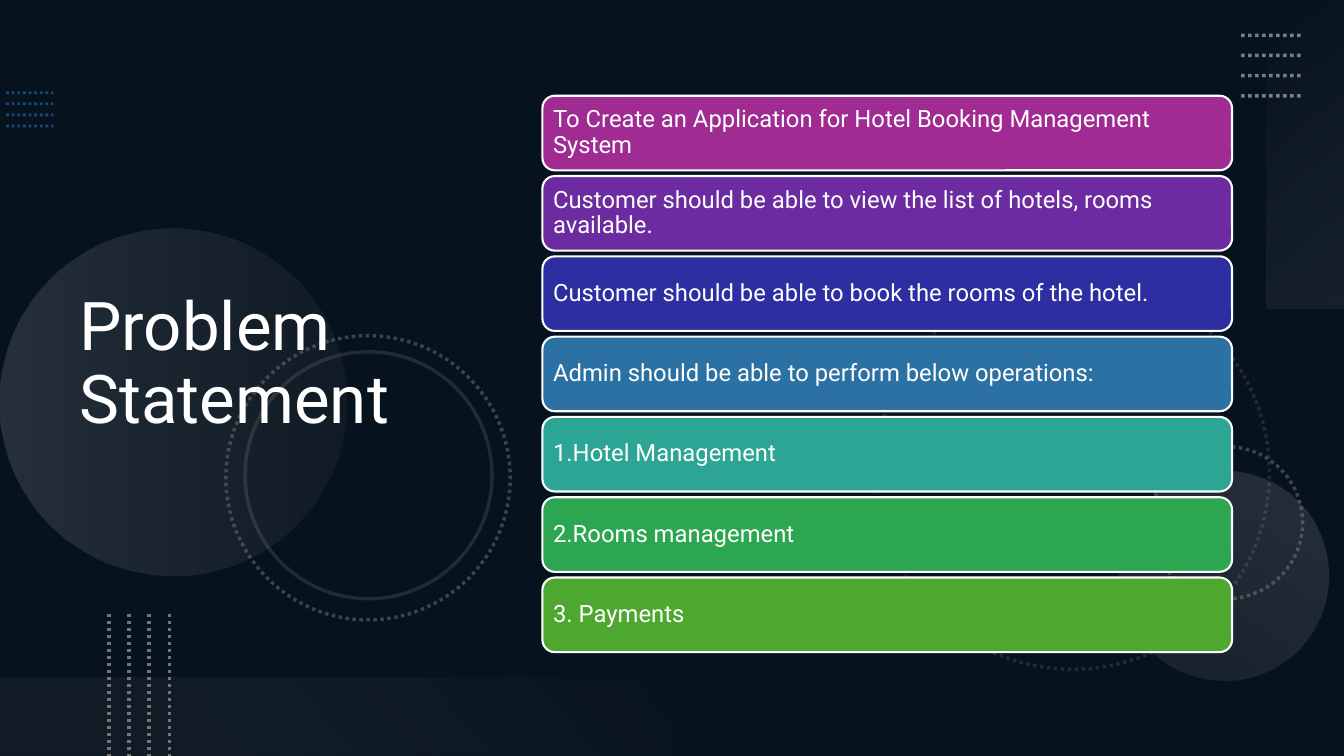
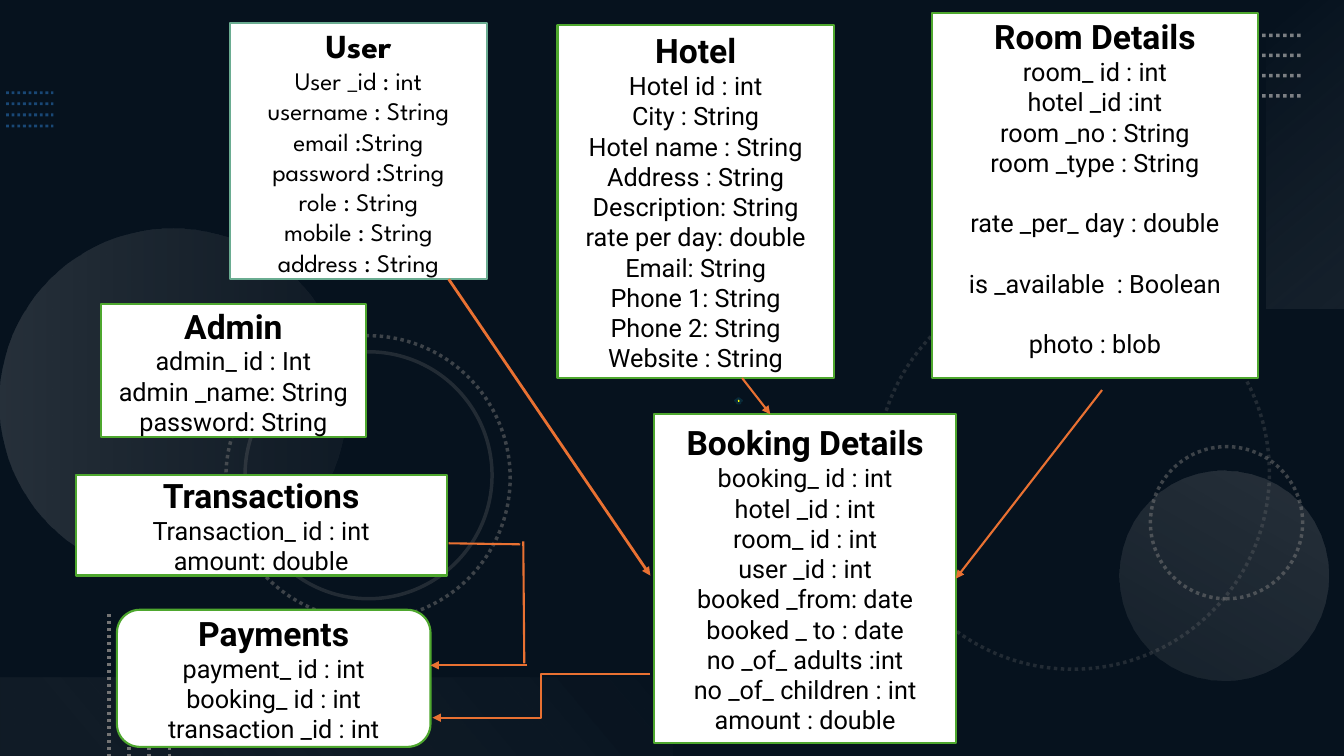
from dataclasses import dataclass

from lxml import etree
from pptx import Presentation
from pptx.dml.color import RGBColor
from pptx.enum.dml import MSO_LINE
from pptx.enum.shapes import MSO_CONNECTOR, MSO_SHAPE
from pptx.enum.text import MSO_ANCHOR, PP_ALIGN
from pptx.oxml.ns import qn
from pptx.util import Inches, Pt

RECTANGLE = MSO_SHAPE.RECTANGLE
ROUNDED = MSO_SHAPE.ROUNDED_RECTANGLE
OVAL = MSO_SHAPE.OVAL
DOWN_ARROW = MSO_SHAPE.DOWN_ARROW
STRAIGHT = MSO_CONNECTOR.STRAIGHT
ELBOW = MSO_CONNECTOR.ELBOW
DOTTED = MSO_LINE.ROUND_DOT
MIDDLE = MSO_ANCHOR.MIDDLE
TOP = MSO_ANCHOR.TOP
CENTER = PP_ALIGN.CENTER
LEFT = PP_ALIGN.LEFT


@dataclass(frozen=True)
class Theme:
    background: str = "0E2841"
    black: str = "000000"
    white: str = "FFFFFF"
    grey: str = "747474"
    silver: str = "AEAEAE"
    blue: str = "2D7FCF"
    green: str = "4EA72E"
    sage: str = "6AAC91"
    orange: str = "E97132"
    yellow: str = "FFFF00"
    navy: str = "092A39"
    bars: tuple = ("A02B93", "6C2BA1", "2C2EA2", "2C71A4", "2DA594", "2DA651", "4EA72E")
    font: str = "Roboto"
    user_font: str = "League Spartan"
    title_size: int = 48
    bar_size: float = 17
    heading_size: int = 24
    field_size: int = 18
    field_gap: float = 21.6


THEME = Theme()
WIDTH, HEIGHT = 13.33, 7.5

STATEMENTS = [
    "To Create an Application for Hotel Booking Management System",
    "Customer should be able to view the list of hotels, rooms available.",
    "Customer should be able to book the rooms of the hotel.",
    "Admin should be able to perform below operations:",
    "1.Hotel Management",
    "2.Rooms management",
    "3. Payments",
]

# Heading, box, fields, and any options that differ from a plain entity box
ENTITIES = [
    ("User", (2.28, 0.23, 2.55, 2.54),
     ["User _id : int", "username : String", "email :String", "password :String",
      "role : String", "mobile : String", "address : String"],
     {"font": THEME.user_font, "border": THEME.sage, "border_width": 1.25}),
    ("Hotel", (5.53, 0.25, 2.74, 3.5),
     ["Hotel id : int", "City : String", "Hotel name : String", "Address : String",
      "Description: String", "rate per day: double", "Email: String",
      "Phone 1: String", "Phone 2: String", "Website : String"], {}),
    ("Room Details", (9.24, 0.13, 3.24, 3.62),
     ["room_ id : int", "hotel _id :int", "room _no : String", "room _type : String",
      "rate _per_ day : double", "is _available  : Boolean", "photo : blob"],
     {"anchor": TOP, "spaced_from": 4}),
    ("Admin", (1, 3.02, 2.63, 1.32),
     ["admin_ id : Int", "admin _name: String", "password: String"], {}),
    ("Transactions", (0.75, 4.71, 3.68, 1),
     ["Transaction_ id : int", "amount: double"], {}),
    ("Payments", (1.16, 6.05, 3.11, 1.36),
     ["payment_ id : int", "booking_ id : int", "transaction _id : int"],
     {"kind": ROUNDED}),
    ("Booking Details", (6.49, 4.11, 2.99, 3.26),
     ["booking_ id : int", "hotel _id : int", "room_ id : int", "user _id : int",
      "booked _from: date", "booked _ to : date", "no _of_ adults :int",
      "no _of_ children : int", "amount : double"], {}),
]

# Start, end, and any options that differ from a straight arrow
RELATIONS = [
    ((7.36, 3.75), (7.64, 4.11), {}),
    ((10.93, 3.87), (9.48, 5.74), {}),
    ((4.45, 5.39), (5.16, 5.4), {"arrow": False}),
    ((5.19, 5.37), (5.2, 6.58), {"arrow": False}),
    ((5.23, 6.6), (4.27, 6.6), {}),
    ((6.45, 6.69), (4.29, 7.12), {"kind": ELBOW}),
    ((4.45, 2.77), (6.45, 5.71), {"width": 2}),
]


# Drawing helpers
def rgb(colour):
    return RGBColor.from_string(colour)


def set_opacity(colour_node, percent):
    etree.SubElement(colour_node, qn("a:alpha"), val=str(percent * 1000))


def style_line(shape, colour, width, dash=None, opacity=100):
    shape.line.color.rgb = rgb(colour)
    shape.line.width = Pt(width)
    if dash is not None:
        shape.line.dash_style = dash
    if opacity < 100:
        outline = shape._element.spPr.find(qn("a:ln"))
        set_opacity(next(outline.iter(qn("a:srgbClr"))), opacity)


def add_shape(slide, kind, box, fill=None, rotation=0):
    shape = slide.shapes.add_shape(kind, *map(Inches, box))
    shape.shadow.inherit = False
    shape.rotation = rotation
    shape.line.fill.background()
    if fill:
        shape.fill.solid()
        shape.fill.fore_color.rgb = rgb(fill)
    else:
        shape.fill.background()
    return shape


def add_gradient(slide, kind, box, rotation, angle, stops):
    shape = add_shape(slide, kind, box, rotation=rotation)
    shape.fill.gradient()
    shape.fill.gradient_angle = 360 - angle
    for stop, (position, colour, opacity) in zip(shape.fill.gradient_stops, stops):
        stop.position = position
        stop.color.rgb = rgb(colour)
    for node, (_, _, opacity) in zip(shape._element.spPr.iter(qn("a:srgbClr")), stops):
        set_opacity(node, opacity)


def add_line(slide, start, end, colour, width, dash=None, opacity=100,
             kind=STRAIGHT, arrow=False):
    connector = slide.shapes.add_connector(kind, *map(Inches, (*start, *end)))
    style_line(connector, colour, width, dash, opacity)
    properties = connector._element.spPr
    if arrow:
        etree.SubElement(properties.find(qn("a:ln")), qn("a:tailEnd"), type="triangle")
    etree.SubElement(properties, qn("a:effectLst"))


def style_paragraph(paragraph, size, colour, font=THEME.font, bold=False, alignment=LEFT):
    paragraph.alignment = alignment
    paragraph.font.name = font
    paragraph.font.size = Pt(size)
    paragraph.font.bold = bold
    paragraph.font.color.rgb = rgb(colour)


def write_block(shape, text, size, colour):
    frame = shape.text_frame
    frame.word_wrap = True
    frame.vertical_anchor = MIDDLE
    frame.text = text
    paragraph = frame.paragraphs[0]
    paragraph.line_spacing = 0.9
    style_paragraph(paragraph, size, colour)
    return frame


# Shared backdrop
def add_dotted_lines(slide, box, count, colour, width=2.5, opacity=100, vertical=False):
    left, top, box_width, box_height = box
    for index in range(count):
        share = index / (count - 1)
        if vertical:
            x = left + box_width * share
            start, end = (x, top), (x, top + box_height)
        else:
            y = top + box_height * share
            start, end = (left, y), (left + box_width, y)
        add_line(slide, start, end, colour, width, DOTTED, opacity)


def add_ring(slide, left, top, diameter, rotation, dash, opacity):
    ring = add_shape(slide, OVAL, (left, top, diameter, diameter), rotation=rotation)
    style_line(ring, THEME.grey, 2.5, dash, opacity)


def add_backdrop(slide):
    shade = add_shape(slide, RECTANGLE, (0, 0, WIDTH, HEIGHT), THEME.black)
    set_opacity(next(shade._element.spPr.iter(qn("a:srgbClr"))), 53)
    add_dotted_lines(slide, (0.06, 0.92, 0.47, 0.33), 4, THEME.blue, 2, 50)

    # Rings and discs
    add_ring(slide, 8.69, 2.74, 3.9, 75, DOTTED, 25)
    add_ring(slide, 11.41, 4.43, 1.51, 270, DOTTED, 50)
    add_gradient(slide, OVAL, (0, 2.27, 3.44, 3.44), 270, 90,
                 [(0, THEME.silver, 20), (1, THEME.grey, 10)])
    add_gradient(slide, OVAL, (11.1, 4.67, 2.08, 2.08), 210, 90,
                 [(0, THEME.silver, 10), (1, THEME.silver, 20)])
    add_ring(slide, 2.24, 3.33, 2.82, 75, DOTTED, 50)
    add_ring(slide, 2.43, 3.49, 2.45, 75, None, 25)

    # Corner bands with their dots
    add_gradient(slide, RECTANGLE, (11.42, 1.14, 3.06, 0.78), 270, 140,
                 [(0, "F6F6F6", 0), (1, THEME.silver, 10)])
    add_dotted_lines(slide, (12.31, 0.35, 0.6, 0.6), 4, THEME.silver, opacity=70)
    add_gradient(slide, RECTANGLE, (0, 6.72, 6.67, 0.78), 180, 140,
                 [(0.1, THEME.grey, 10), (1, "F1F1F1", 0)])
    add_dotted_lines(slide, (1.08, 6.09, 0.6, 1.41), 4, THEME.grey, vertical=True)


def add_slide(presentation):
    slide = presentation.slides.add_slide(presentation.slide_layouts[6])
    add_backdrop(slide)
    return slide


# Problem statement slide
def add_title(slide, text, box):
    title = slide.shapes.add_textbox(*map(Inches, box))
    write_block(title, text, THEME.title_size, THEME.white)


def add_statement_bars(slide, statements, box, bar_height=0.74):
    left, top, width, height = box
    pitch = (height - bar_height) / (len(statements) - 1)
    for index, (text, colour) in enumerate(zip(statements, THEME.bars)):
        bar = add_shape(slide, ROUNDED, (left, top + index * pitch, width, bar_height), colour)
        style_line(bar, THEME.white, 1.5)
        frame = write_block(bar, text, THEME.bar_size, THEME.white)
        frame.margin_left = frame.margin_right = Inches(0.07)
        frame.margin_top = frame.margin_bottom = Inches(0.07)


def build_problem_slide(presentation):
    slide = add_slide(presentation)
    add_title(slide, "Problem Statement", (0.69, 0.54, 4.59, 6.17))
    add_statement_bars(slide, STATEMENTS, (5.38, 0.95, 6.84, 5.52))


# Entity diagram slide
def add_entity(slide, heading, box, fields, kind=RECTANGLE, font=THEME.font,
               border=THEME.green, border_width=1.5, anchor=MIDDLE, spaced_from=None):
    entity = add_shape(slide, kind, box, THEME.white)
    style_line(entity, border, border_width)
    frame = entity.text_frame
    frame.word_wrap = True
    frame.vertical_anchor = anchor
    if anchor == TOP:
        frame.margin_top = Inches(0.03)
    frame.text = heading
    style_paragraph(frame.paragraphs[0], THEME.heading_size, THEME.black, font, True, CENTER)
    for index, field in enumerate(fields):
        paragraph = frame.add_paragraph()
        paragraph.text = field
        style_paragraph(paragraph, THEME.field_size, THEME.black, font, False, CENTER)
        if spaced_from is not None and index >= spaced_from:
            paragraph.space_before = Pt(THEME.field_gap)


def add_relation(slide, start, end, width=1.5, kind=STRAIGHT, arrow=True):
    add_line(slide, start, end, THEME.orange, width, kind=kind, arrow=arrow)


def build_entity_slide(presentation):
    slide = add_slide(presentation)
    for heading, box, fields, options in ENTITIES:
        add_entity(slide, heading, box, fields, **options)
    marker = add_shape(slide, DOWN_ARROW, (7.29, 3.95, 0.07, 0.05), THEME.yellow, 180)
    style_line(marker, THEME.navy, 1.5)
    for start, end, options in RELATIONS:
        add_relation(slide, start, end, **options)


def main():
    presentation = Presentation()
    presentation.slide_width = Inches(WIDTH)
    presentation.slide_height = Inches(HEIGHT)
    background = presentation.slide_master.background.fill
    background.solid()
    background.fore_color.rgb = rgb(THEME.background)
    build_problem_slide(presentation)
    build_entity_slide(presentation)
    presentation.save("out.pptx")


if __name__ == "__main__":
    main()
